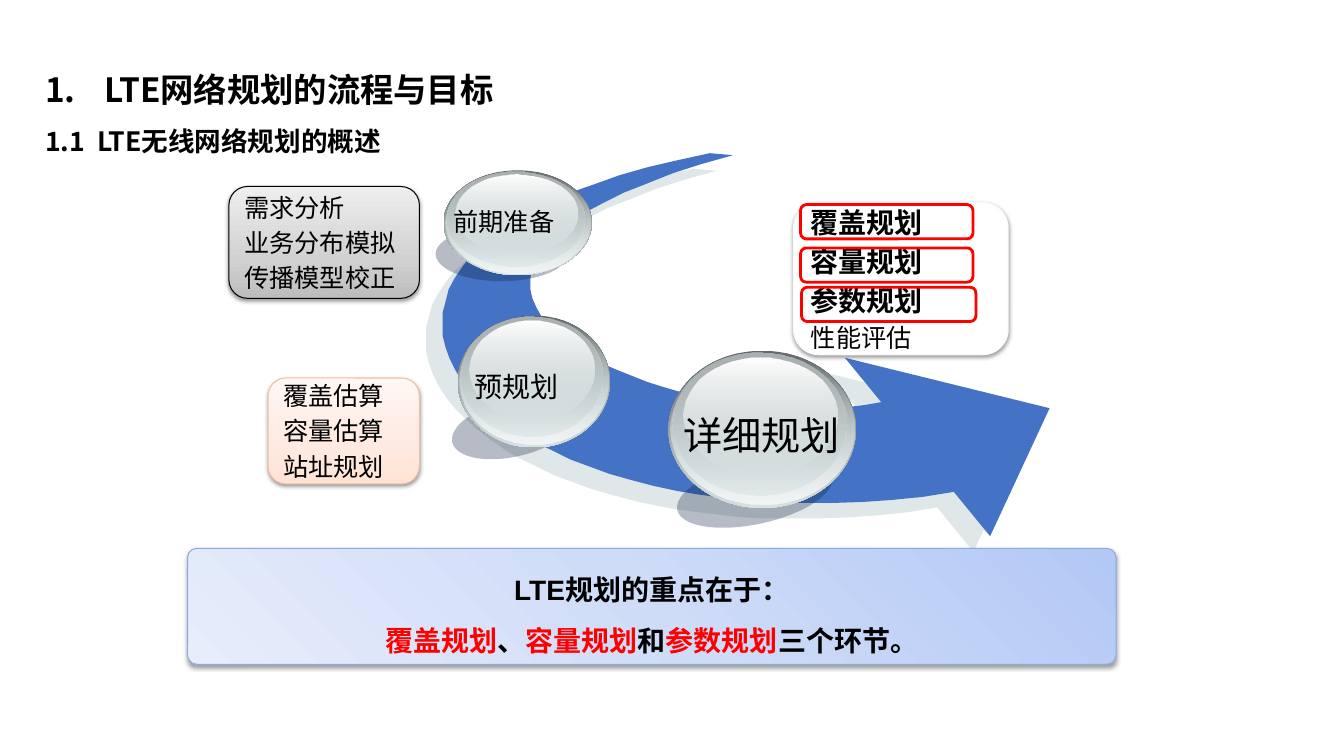
from lxml.etree import SubElement
from pptx import Presentation
from pptx.dml.color import RGBColor
from pptx.enum.shapes import MSO_SHAPE as SHAPE
from pptx.enum.text import MSO_ANCHOR as ANCHOR, PP_ALIGN as ALIGN
from pptx.oxml.ns import qn
from pptx.util import Inches, Pt

BLACK = RGBColor(0, 0, 0)
WHITE = RGBColor(255, 255, 255)
RED = RGBColor(255, 0, 0)
BLUE = RGBColor(0x44, 0x72, 0xC4)
NAVY = RGBColor(0x0F, 0x21, 0x45)
MIST = RGBColor(0xC1, 0xD1, 0xD3)
PALE = RGBColor(0xD6, 0xE1, 0xE2)
STEEL = RGBColor(0x63, 0x68, 0x69)
SILVER = RGBColor(0xAA, 0xB2, 0xB3)
FROST = RGBColor(0xF1, 0xF5, 0xF5)
OFF_WHITE = RGBColor(0xF9, 0xF9, 0xF9)
PEACH = RGBColor(0xF2, 0xC0, 0xA4)
BAR_EDGE = RGBColor(0x8F, 0xAA, 0xDC)
CJK = "Noto Sans CJK SC"

HEADINGS = [("LTE网络规划的流程与目标", 23.8), ("1.1  LTE无线网络规划的概述", 19)]

SWOOSH = [
    (7.04, 1.52), (6.72, 1.59), (6.42, 1.66), (6.14, 1.74), (5.89, 1.83), (5.66, 1.91),
    (5.44, 2.01), (5.25, 2.11), (5.08, 2.21), (4.93, 2.31), (4.8, 2.42), (4.68, 2.53),
    (4.59, 2.64), (4.51, 2.76), (4.45, 2.87), (4.42, 2.99), (4.39, 3.1), (4.39, 3.33),
    (4.42, 3.45), (4.46, 3.56), (4.52, 3.68), (4.59, 3.79), (4.68, 3.9), (4.78, 4),
    (4.89, 4.1), (5.02, 4.2), (5.16, 4.3), (5.31, 4.39), (5.48, 4.47), (5.66, 4.56),
    (5.85, 4.63), (6.04, 4.7), (6.25, 4.76), (6.48, 4.82), (6.71, 4.87), (6.95, 4.91),
    (7.19, 4.94), (7.45, 4.97), (7.72, 4.99), (8.27, 4.99), (8.56, 4.98), (8.85, 4.96),
    (9.15, 4.93), (9.46, 4.88), (9.82, 5.32), (10.41, 4.05), (8.38, 3.55), (8.74, 3.99),
    (8.57, 4.02), (8.39, 4.04), (8.21, 4.05), (7.84, 4.05), (7.65, 4.04), (7.47, 4.02),
    (7.28, 3.99), (7.1, 3.97), (6.92, 3.93), (6.75, 3.89), (6.58, 3.84), (6.42, 3.79),
    (6.27, 3.73), (6.12, 3.67), (5.98, 3.61), (5.85, 3.54), (5.73, 3.46), (5.62, 3.39),
    (5.52, 3.31), (5.44, 3.22), (5.37, 3.14), (5.32, 3.05), (5.28, 2.96), (5.26, 2.87),
    (5.26, 2.78), (5.27, 2.68), (5.31, 2.59), (5.37, 2.49), (5.45, 2.39), (5.55, 2.3),
    (5.67, 2.2), (5.82, 2.1), (5.99, 2.01), (6.19, 1.91), (6.42, 1.82), (6.67, 1.72),
    (6.95, 1.63), (7.27, 1.54)]

SPHERES = [
    ("详细规划", 28, (6.63, 3.48, 1.86, 1.56), (6.7, 4.59, 1.57, 0.61), -12.1, (6.68, 4.03, 1.79, 0.57)),
    ("预规划", 20, (4.54, 3.13, 1.51, 1.31), (4.47, 3.97, 1.24, 0.56), -12.9, (4.61, 3.62, 1.32, 0.44)),
    ("前期准备", 18, (4.4, 1.69, 1.47, 1.04), (4.32, 2.25, 1.31, 0.54), 0, (4.4, 2, 1.47, 0.4))]

GLASS = [
    ((0, 0, 1, 1), [(0, STEEL, 100), (100, PALE, 100)]),
    ((0.01, 0.01, 0.98, 0.97), [(0, PALE, 0), (100, FROST, 100)]),
    ((0.02, 0.01, 0.93, 0.91), [(0, SILVER, 100), (100, PALE, 48)]),
    ((0.08, 0.04, 0.82, 0.74), [(0, WHITE, 100), (100, PALE, 38)])]

PEACH_STOPS = [(0, RGBColor(0xFF, 0xE3, 0xD5), 100), (35, RGBColor(0xFF, 0xEA, 0xE1), 100),
               (100, RGBColor(0xFF, 0xF7, 0xF3), 100)]
GREY_STOPS = [(0, RGBColor(0xBD, 0xBD, 0xBD), 100), (35, RGBColor(0xD1, 0xD1, 0xD1), 100),
              (100, RGBColor(0xEE, 0xEE, 0xEE), 100)]
BAR_STOPS = [(0, RGBColor(0xB2, 0xC8, 0xF5), 100), (50, RGBColor(0xCF, 0xDC, 0xF8), 100),
             (100, RGBColor(0xE7, 0xED, 0xFB), 100)]

CARDS = [
    ((7.87, 2.01, 2.13, 1.51), WHITE, OFF_WHITE,
     [("覆盖规划", 20, True), ("容量规划", 20, True), ("参数规划", 20, True), ("性能评估", 18, False)]),
    ((2.66, 3.75, 1.5, 1.05), PEACH_STOPS, PEACH,
     [(t, 18, False) for t in ("覆盖估算", "容量估算", "站址规划")]),
    ((2.27, 1.85, 1.89, 1.11), GREY_STOPS, BLACK,
     [(t, 18, False) for t in ("需求分析", "业务分布模拟", "传播模型校正")])]

MARKS = [(7.94, 2.03, 1.71, 0.34), (7.94, 2.46, 1.71, 0.34), (7.95, 2.85, 1.73, 0.34)]

FOCUS = [
    [("LTE规划的重点在于：", BLACK)],
    [("覆盖规划", RED), ("、", BLACK), ("容量规划", RED), ("和", BLACK),
     ("参数规划", RED), ("三个环节。", BLACK)]]

prs = Presentation()
prs.slide_width, prs.slide_height = Inches(13.33), Inches(7.5)
slide = prs.slides.add_slide(prs.slide_layouts[6])


def add_color(parent, color, opacity):
    clr = SubElement(parent, qn("a:srgbClr"), val=str(color))
    if opacity < 100:
        SubElement(clr, qn("a:alpha"), val=str(opacity * 1000))


def paint(s, fill=None, line=None, width=0.75, angle=90):
    s.shadow.inherit = False
    if fill is None:
        s.fill.background()
    elif isinstance(fill, list):
        s.fill.gradient()
        grad = s._element.spPr.find(qn("a:gradFill"))
        grad.clear()
        stops = SubElement(grad, qn("a:gsLst"))
        for pos, color, opacity in fill:
            add_color(SubElement(stops, qn("a:gs"), pos=str(pos * 1000)), color, opacity)
        SubElement(grad, qn("a:lin"), ang=str(angle * 60000), scaled="0")
    else:
        s.fill.solid()
        s.fill.fore_color.rgb = fill
    if line is None:
        s.line.fill.background()
    else:
        s.line.color.rgb = line
        s.line.width = Pt(width)


def cast(s, color=BLACK, opacity=38, blur=3.1, dist=1.6, angle=90):
    shadow = SubElement(s._element.spPr.find(qn("a:effectLst")), qn("a:outerShdw"),
                        blurRad=str(Pt(blur)), dist=str(Pt(dist)),
                        dir=str(angle * 60000), algn="tl", rotWithShape="0")
    add_color(shadow, color, opacity)


def add_box(kind, at, **look):
    s = slide.shapes.add_shape(kind, *map(Inches, at))
    paint(s, **look)
    return s


def add_textbox(at):
    tf = slide.shapes.add_textbox(*map(Inches, at)).text_frame
    tf.word_wrap = True
    return tf


def new_paragraph(tf, first, align=ALIGN.LEFT, spacing=None, before=0):
    p = tf.paragraphs[0] if first else tf.add_paragraph()
    p.alignment = align
    if spacing:
        p.line_spacing = spacing
    if before and not first:
        p.space_before = Pt(before)
    return p


def write(p, text, size=18, color=BLACK, bold=False, font=CJK):
    r = p.add_run()
    r.text = text
    r.font.size, r.font.bold, r.font.name = Pt(size), bold, font
    r.font.color.rgb = color
    SubElement(r.font._element, qn("a:ea"), typeface=CJK)


tf = add_textbox((0.35, 0.44, 4.9, 1.18))
for i, (text, size) in enumerate(HEADINGS):
    p = new_paragraph(tf, i == 0, spacing=1.5)
    if i == 0:
        pPr = p._p.get_or_add_pPr()
        pPr.set("marL", str(Inches(0.59)))
        pPr.set("indent", str(-Inches(0.59)))
        SubElement(pPr, qn("a:buFont"), typeface="+mj-lt")
        SubElement(pPr, qn("a:buAutoNum"), type="arabicPeriod")
    write(p, text, size=size, bold=True)

points = [(Inches(x), Inches(y)) for x, y in SWOOSH]
builder = slide.shapes.build_freeform(*points[0])
builder.add_line_segments(points[1:], close=True)
arrow = builder.convert_to_shape()
paint(arrow, fill=BLUE)
cast(arrow, color=MIST, opacity=50, blur=0, dist=16.3, angle=137)

for text, size, (x, y, w, h), shade_at, turn, label_at in SPHERES:
    shade = add_box(SHAPE.OVAL, shade_at, fill=[(0, NAVY, 30), (100, NAVY, 30)])
    shade.rotation = turn
    for (dx, dy, fw, fh), stops in GLASS:
        add_box(SHAPE.OVAL, (x + dx * w, y + dy * h, fw * w, fh * h), fill=stops)
    write(new_paragraph(add_textbox(label_at), True), text, size=size)

for at, fill, edge, lines in CARDS:
    s = add_box(SHAPE.ROUNDED_RECTANGLE, at, fill=fill, line=edge, angle=270)
    cast(s)
    tf = s.text_frame
    tf.word_wrap = True
    tf.vertical_anchor = ANCHOR.MIDDLE
    for i, (text, size, bold) in enumerate(lines):
        write(new_paragraph(tf, i == 0, before=size * 0.2), text, size=size, bold=bold)

for at in MARKS:
    add_box(SHAPE.ROUNDED_RECTANGLE, at, line=RED, width=2)

bar = add_box(SHAPE.ROUNDED_RECTANGLE, (1.86, 5.44, 9.21, 1.15), fill=BAR_STOPS, line=BAR_EDGE, angle=135)
bar.adjustments[0] = 0.08
cast(bar)
tf = bar.text_frame
tf.word_wrap = True
tf.vertical_anchor = ANCHOR.TOP
for i, runs in enumerate(FOCUS):
    p = new_paragraph(tf, i == 0, align=ALIGN.CENTER, spacing=1.5)
    for text, color in runs:
        write(p, text, size=20, color=color, bold=True, font="Arial")

prs.save("out.pptx")
